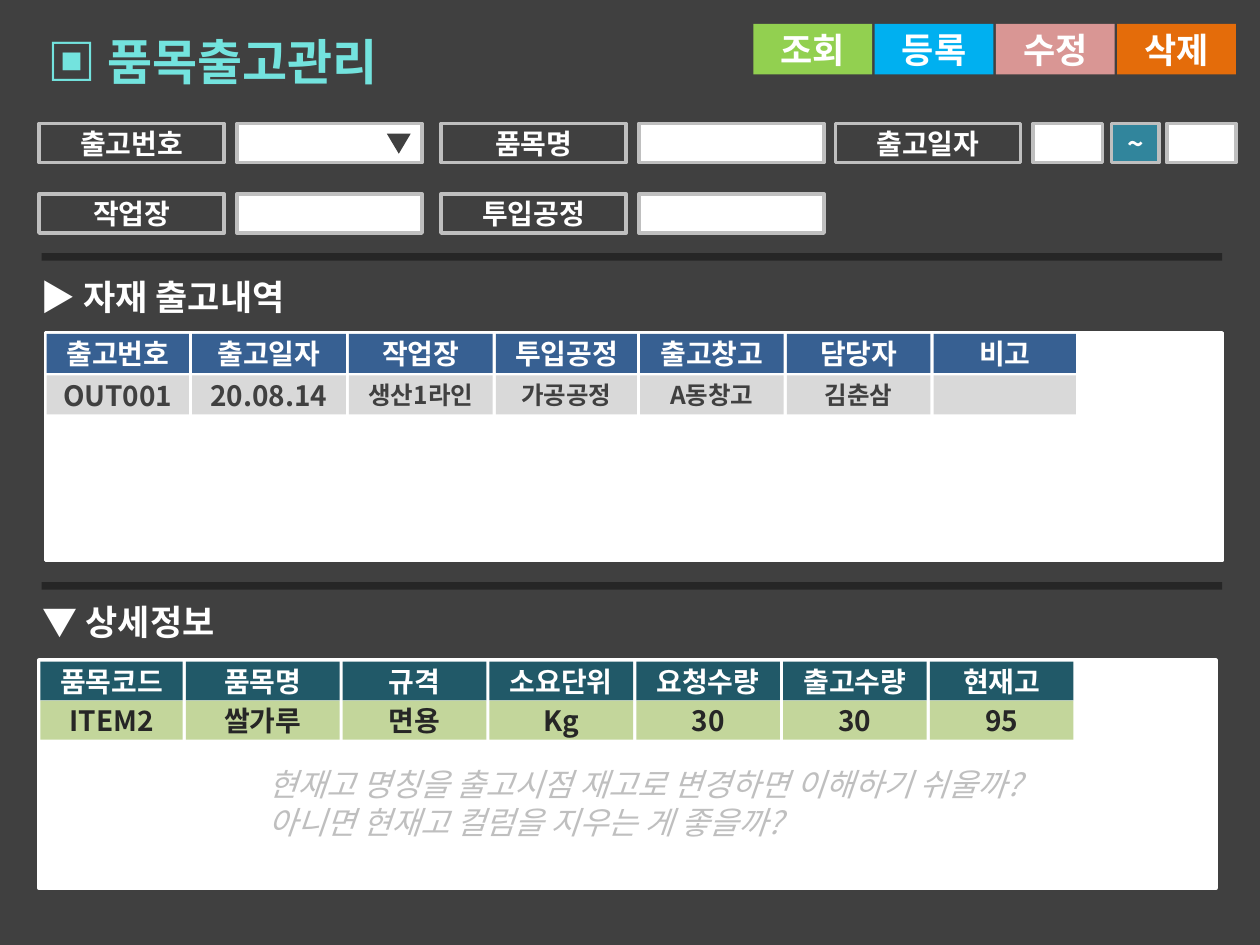
from lxml import etree
from pptx import Presentation
from pptx.dml.color import RGBColor
from pptx.enum.shapes import MSO_SHAPE
from pptx.enum.text import MSO_ANCHOR, MSO_AUTO_SIZE, PP_ALIGN
from pptx.oxml.ns import qn
from pptx.util import Inches, Pt

RECT = MSO_SHAPE.RECTANGLE
TRIANGLE = MSO_SHAPE.ISOSCELES_TRIANGLE
LEFT, CENTER = PP_ALIGN.LEFT, PP_ALIGN.CENTER
TOP, MIDDLE = MSO_ANCHOR.TOP, MSO_ANCHOR.MIDDLE
NO_AUTOFIT, GROW = MSO_AUTO_SIZE.NONE, MSO_AUTO_SIZE.SHAPE_TO_FIT_TEXT

FONT = "Noto Sans CJK KR"
WHITE = RGBColor(0xFF, 0xFF, 0xFF)
DARK = RGBColor(0x40, 0x40, 0x40)
BLACK = RGBColor(0x26, 0x26, 0x26)
SILVER = RGBColor(0xBF, 0xBF, 0xBF)
LIGHT_GRAY = RGBColor(0xD9, 0xD9, 0xD9)
MINT = RGBColor(0x73, 0xE3, 0xDE)
GREEN = RGBColor(0x92, 0xD0, 0x50)
SKY = RGBColor(0x00, 0xB0, 0xF0)
PINK = RGBColor(0xD9, 0x96, 0x94)
ORANGE = RGBColor(0xE4, 0x6C, 0x0A)
BLUE = RGBColor(0x37, 0x60, 0x92)
TEAL = RGBColor(0x21, 0x59, 0x68)
AQUA = RGBColor(0x31, 0x85, 0x9C)
OLIVE = RGBColor(0xC3, 0xD6, 0x9B)


def add_run(p, text, size, color, bold=True, italic=False):
    r = p.add_run()
    r.text = text
    r.font.size = Pt(size)
    r.font.bold = bold
    r.font.italic = italic
    r.font.color.rgb = color
    r.font.name = FONT
    etree.SubElement(r.font._element, qn("a:ea"), typeface=FONT)


def add_box(s, box, fill=None, line=None, text="", size=16, color=WHITE, kind=RECT):
    sp = s.shapes.add_shape(kind, *map(Inches, box))
    sp.shadow.inherit = False
    if fill is None:
        sp.fill.background()
    else:
        sp.fill.solid()
        sp.fill.fore_color.rgb = fill
    if line is None:
        sp.line.fill.background()
    else:
        sp.line.color.rgb = line
        sp.line.width = Pt(2)
    if text:
        tf = sp.text_frame
        tf.vertical_anchor = MIDDLE
        tf.paragraphs[0].alignment = CENTER
        add_run(tf.paragraphs[0], text, size, color)
    return sp


def add_text(s, box, lines, size, color, **style):
    tf = s.shapes.add_textbox(*map(Inches, box)).text_frame
    tf.word_wrap = True
    tf.auto_size = GROW
    for i, line in enumerate(lines):
        p = tf.add_paragraph() if i else tf.paragraphs[0]
        add_run(p, line, size, color, **style)


def add_title(s, box, text):
    sp = s.shapes.title
    sp.left, sp.top, sp.width, sp.height = map(Inches, box)
    tf = sp.text_frame
    tf.auto_size = NO_AUTOFIT
    tf.vertical_anchor = TOP
    tf.paragraphs[0].alignment = LEFT
    add_run(tf.paragraphs[0], text, 28, MINT)


def add_buttons(s, box, buttons, gap=0.02):
    x, y, w, h = box
    step = (w + gap) / len(buttons)
    for i, (text, fill) in enumerate(buttons):
        add_box(s, (x + i * step, y, step - gap, h), fill, text=text, size=20)


def add_field(s, box, label, label_w=1.47, gap=0.1):
    x, y, w, h = box
    add_box(s, (x, y, label_w, h), line=SILVER, text=label)
    if w > label_w:
        add_box(s, (x + label_w + gap, y, w - label_w - gap, h), WHITE, SILVER)


def add_search_form(s, box):
    x, y, w, h = box
    lower, field_w = y + 0.56, 3.04
    add_field(s, (x, y, field_w, h), "출고번호")
    arrow = add_box(s, (x + 2.76, y + 0.08, 0.19, 0.16), DARK, kind=TRIANGLE)
    arrow.rotation = 180
    add_field(s, (x + 3.19, y, field_w, h), "품목명")
    add_field(s, (x, lower, field_w, h), "작업장")
    add_field(s, (x + 3.19, lower, field_w, h), "투입공정")
    add_field(s, (x + 6.32, y, 2.12, h), "출고일자")
    add_box(s, (x + 8.51, y, 0.38, h), AQUA, SILVER, "~")
    add_box(s, (x + w - 0.55, y, 0.55, h), WHITE, SILVER)


def add_grid(s, box, widths, rows, pitch, gap=0.025, cell_h=0.31):
    x, y, w, h = box
    add_box(s, box, WHITE, WHITE)
    for i, (values, fill, color, sizes) in enumerate(rows):
        left = x + 0.01
        for width, value, size in zip(widths, values, sizes):
            cell = (left, y + 0.01 + i * pitch, width, cell_h)
            add_box(s, cell, fill, text=value, size=size, color=color)
            left += width + gap


def main():
    prs = Presentation()
    prs.slide_width, prs.slide_height = Inches(10), Inches(7.5)
    s = prs.slides.add_slide(prs.slide_layouts[5])

    backdrop = add_box(s, (0, 0, 10, 7.5), DARK)
    s.shapes.title.element.addprevious(backdrop.element)
    add_title(s, (0.28, 0.2, 3.31, 0.57), "▣ 품목출고관리")
    add_buttons(s, (5.98, 0.19, 3.83, 0.4),
                [("조회", GREEN), ("등록", SKY), ("수정", PINK), ("삭제", ORANGE)])
    add_search_form(s, (0.31, 0.98, 9.5, 0.31))

    for y in (2.01, 4.62):
        add_box(s, (0.33, y, 9.37, 0.06), BLACK)

    widths = [1.13, 1.22, 1.14, 1.12, 1.14, 1.14, 1.13]
    add_text(s, (0.22, 2.14, 2.35, 0.44), ["▶ 자재 출고내역"], 20, WHITE)
    add_grid(s, (0.36, 2.64, 9.34, 1.81), widths, [
        (["출고번호", "출고일자", "작업장", "투입공정", "출고창고", "담당자", "비고"],
         BLUE, WHITE, [16] * 7),
        (["OUT001", "20.08.14", "생산1라인", "가공공정", "A동창고", "김춘삼", ""],
         LIGHT_GRAY, DARK, [16] * 2 + [14] * 5),
    ], pitch=0.33)

    widths = [1.13, 1.22] + [1.14] * 5
    add_text(s, (0.24, 4.72, 2.35, 0.44), ["▼ 상세정보"], 20, WHITE)
    add_grid(s, (0.31, 5.24, 9.34, 1.81), widths, [
        (["품목코드", "품목명", "규격", "소요단위", "요청수량", "출고수량", "현재고"],
         TEAL, WHITE, [16] * 7),
        (["ITEM2", "쌀가루", "면용", "Kg", "30", "30", "95"],
         OLIVE, BLACK, [16] * 7),
    ], pitch=0.31)
    add_text(s, (2.03, 6.02, 6.95, 0.71),
             ["현재고 명칭을 출고시점 재고로 변경하면 이해하기 쉬울까?",
              "아니면 현재고 컬럼을 지우는 게 좋을까?"],
             18, SILVER, bold=False, italic=True)

    prs.save("out.pptx")


if __name__ == "__main__":
    main()
